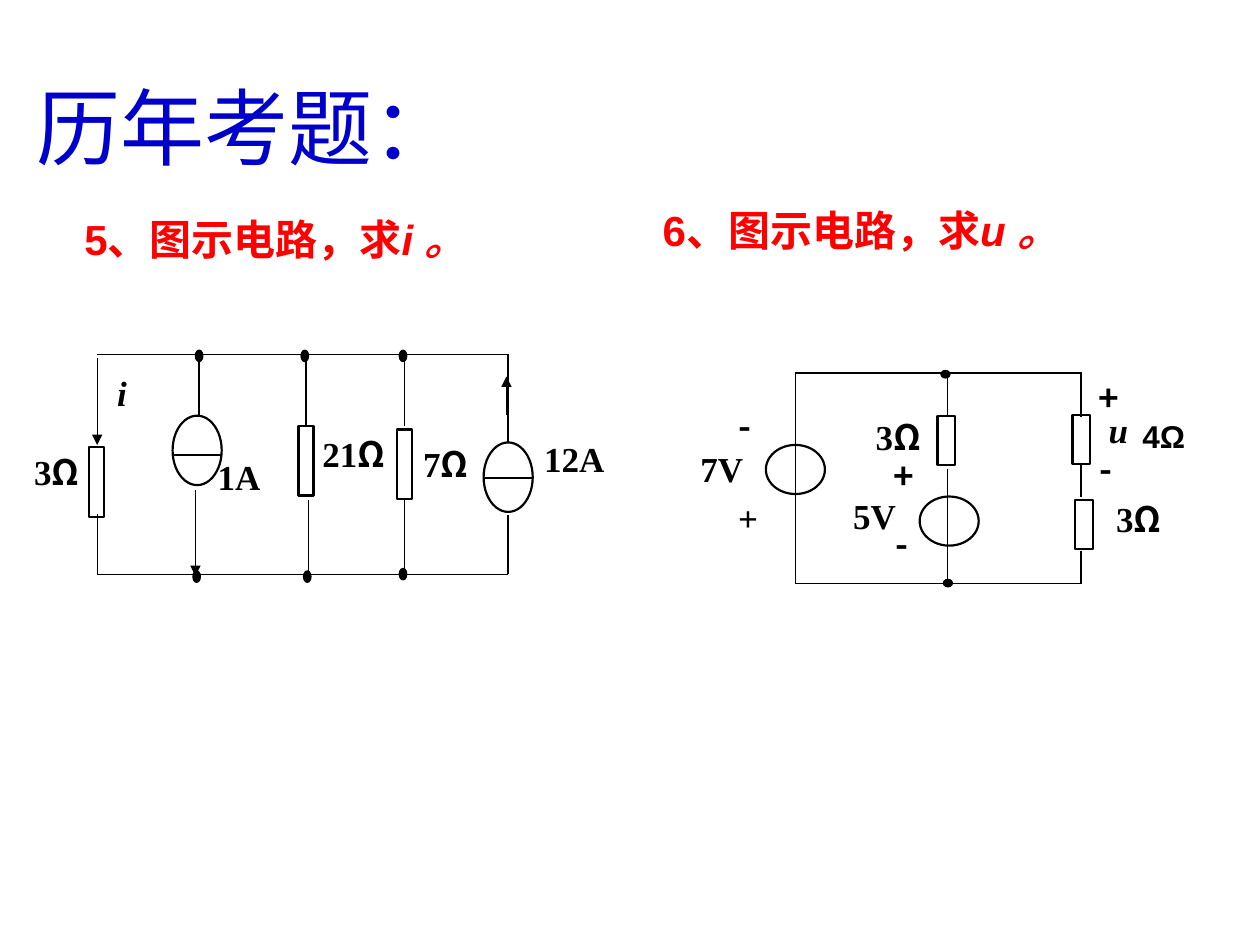
from dataclasses import dataclass

from lxml.etree import SubElement
from pptx import Presentation
from pptx.dml.color import RGBColor as RGB
from pptx.enum.shapes import MSO_CONNECTOR as Link, MSO_SHAPE as Kind
from pptx.enum.text import MSO_ANCHOR as Anchor, MSO_AUTO_SIZE as Fit, PP_ALIGN as Align
from pptx.oxml.ns import qn
from pptx.util import Cm, Pt


@dataclass(frozen=True)
class Theme:
    blue: RGB = RGB(0x00, 0x00, 0xCC)
    red: RGB = RGB(0xFF, 0x00, 0x00)
    black: RGB = RGB(0x00, 0x00, 0x00)
    serif: str = "Times New Roman"
    sans: str = "Arial"
    sign: str = "Noto Sans CJK SC"
    title: int = 48
    head: int = 24
    label: int = 20
    small: int = 18
    thin: float = 0.75
    thick: float = 1.25


T = Theme()


def style(font, name, size, color, bold=True):
    font.name, font.size, font.bold = name, Pt(size), bold
    font.color.rgb = color


def text(shapes, box, runs, name, size, color, bold=True, wrap=True):
    """Add a text box; runs are (words, italic) pairs. Return its frame."""
    frame = shapes.add_textbox(*map(Cm, box)).text_frame
    frame.word_wrap = wrap
    frame.auto_size = Fit.SHAPE_TO_FIT_TEXT
    para = frame.paragraphs[0]
    style(para.font, name, size, color, bold)
    for words, slant in runs:
        run = para.add_run()
        run.text = words
        if slant:
            run.font.italic = True
    return frame


def label(shapes, x, y, w, h, words, name=T.serif, slant=False):
    """Add a tight circuit label; an ohm sign gets the sign font."""
    value = words.rstrip("Ω")
    frame = text(shapes, (x, y, w, h), [(value, slant)], name, T.label, T.black)
    frame.auto_size = Fit.NONE
    frame.margin_left = frame.margin_right = 0
    frame.margin_top = frame.margin_bottom = 0
    para = frame.paragraphs[0]
    para.alignment = Align.JUSTIFY
    if value != words:
        ohm = para.add_run()
        ohm.text = "Ω"
        ohm.font.name = T.sign


def wire(shapes, x1, y1, x2, y2, arrow=False, width=T.thin):
    line = shapes.add_connector(Link.STRAIGHT, Cm(x1), Cm(y1), Cm(x2), Cm(y2))
    line.line.color.rgb = T.black
    line.line.width = Pt(width)
    props = line._element.spPr
    if arrow:
        SubElement(props.find(qn("a:ln")), qn("a:tailEnd"), type="triangle")
    SubElement(props, qn("a:effectLst"))


def part(shapes, kind, spot, size, solid=False):
    shape = shapes.add_shape(kind, *map(Cm, spot + size))
    shape.shadow.inherit = False
    shape.line.color.rgb = T.black
    shape.line.width = Pt(T.thin if solid else T.thick)
    if solid:
        shape.fill.solid()
        shape.fill.fore_color.rgb = T.black
    else:
        shape.fill.background()


def parts(shapes, boxes, rounds, dots, box, ring, dot):
    """Add resistors, sources and nodes, each kind in one size."""
    for spot in boxes:
        part(shapes, Kind.RECTANGLE, spot, box)
    for spot in rounds:
        part(shapes, Kind.OVAL, spot, ring)
    for spot in dots:
        part(shapes, Kind.OVAL, spot, dot, solid=True)


def left(shapes):
    top, base = 7.14, 11.58
    for y in (top, base):
        wire(shapes, 10.24, y, 1.96, y)
    for x, y1, y2 in (
        (1.96, 10.36, base), (4.01, top, 8.36),
        (6.17, top, 8.56), (6.22, 10.08, base),
        (8.15, top, 8.59), (8.15, 10.08, base),
        (10.24, top, 8.92), (10.24, 10.39, base),
    ):
        wire(shapes, x, y1, x, y2)
    for x, y1, y2 in ((1.96, 7.21, 8.97), (3.94, 9.88, 11.61), (10.21, 8.36, 7.59)):
        wire(shapes, x, y1, x, y2, arrow=True)
    for x, y in ((3.47, 9.17), (9.75, 9.63)):
        wire(shapes, x, y, x + 0.99, y, width=T.thick)
    parts(
        shapes,
        [(1.8, 9.02), (6.02, 8.59), (8.0, 8.66)],
        [(3.48, 8.38), (9.75, 8.92)],
        [(3.94, 7.06), (6.07, 7.06), (8.05, 7.06),
         (3.89, 11.51), (6.12, 11.51), (8.05, 11.46)],
        box=(0.3, 1.4), ring=(0.99, 1.4), dot=(0.15, 0.23),
    )
    for x, y, w, words in (
        (0.69, 9.09, 1.09, "3Ω"), (4.39, 9.19, 1.02, "1A"),
        (6.5, 8.71, 1.3, "21Ω"), (8.53, 8.92, 1.09, "7Ω"),
        (10.97, 8.81, 1.4, "12A"),
    ):
        label(shapes, x, y, w, 1.24, words)
    label(shapes, 2.36, 7.49, 0.81, 1.4, "i", slant=True)


def right(shapes):
    top, base = 7.52, 11.76
    for y in (top, base):
        wire(shapes, 21.82, y, 16.03, y)
    for x, y1, y2 in (
        (16.03, top, base), (19.1, top, 8.36), (19.1, 9.45, 11.68),
        (21.79, top, 8.41), (21.79, 9.37, 10.01), (21.79, 11.1, base),
    ):
        wire(shapes, x, y1, x, y2)
    parts(
        shapes,
        [(18.9, 8.38), (21.62, 8.36), (21.67, 10.08)],
        [(15.44, 8.97), (18.54, 10.01)],
        [(18.97, 7.47), (19.02, 11.68)],
        box=(0.36, 0.99), ring=(1.19, 0.99), dot=(0.18, 0.15),
    )
    for x, y, words in (
        (14.12, 9.02, "7V"), (17.2, 9.96, "5V"),
        (17.65, 8.38, "3Ω"), (22.5, 10.03, "3Ω"),
    ):
        label(shapes, x, y, 1.45, 0.95, words)
    label(shapes, 22.35, 8.23, 1.22, 0.99, "u", slant=True)
    label(shapes, 14.88, 10.01, 0.97, 0.79, "+")
    for x, y, words in (
        (14.88, 8.15, "-"), (18.01, 9.17, "+"), (18.06, 10.54, "-"),
        (22.15, 7.59, "+"), (22.17, 9.02, "-"),
    ):
        label(shapes, x, y, 0.97, 0.79, words, T.sign)


def main():
    deck = Presentation()
    deck.slide_width, deck.slide_height = Cm(25.4), Cm(19.05)
    shapes = deck.slides.add_slide(deck.slide_layouts[6]).shapes
    text(shapes, (0.48, 1.4, 22.83, 2.29), [("历年考题：", False)],
         T.serif, T.title, T.blue, bold=False)
    for box, ask, goal, wrap in (
        ((1.45, 4.17, 8.59, 1.27), "5、图示电路，求", "i 。", True),
        ((13.11, 3.99, 9.12, 1.27), "6、图示电路，求", "u 。", False),
    ):
        frame = text(shapes, box, [(ask, False), (goal, True)],
                     T.sans, T.head, T.red, wrap=wrap)
        frame.vertical_anchor = Anchor.MIDDLE
    left(shapes.add_group_shape().shapes)
    right(shapes.add_group_shape().shapes)
    text(shapes, (22.78, 8.28, 1.37, 1.02), [("4Ω", False)],
         T.sans, T.small, T.black, wrap=False)
    deck.save("out.pptx")


if __name__ == "__main__":
    main()
